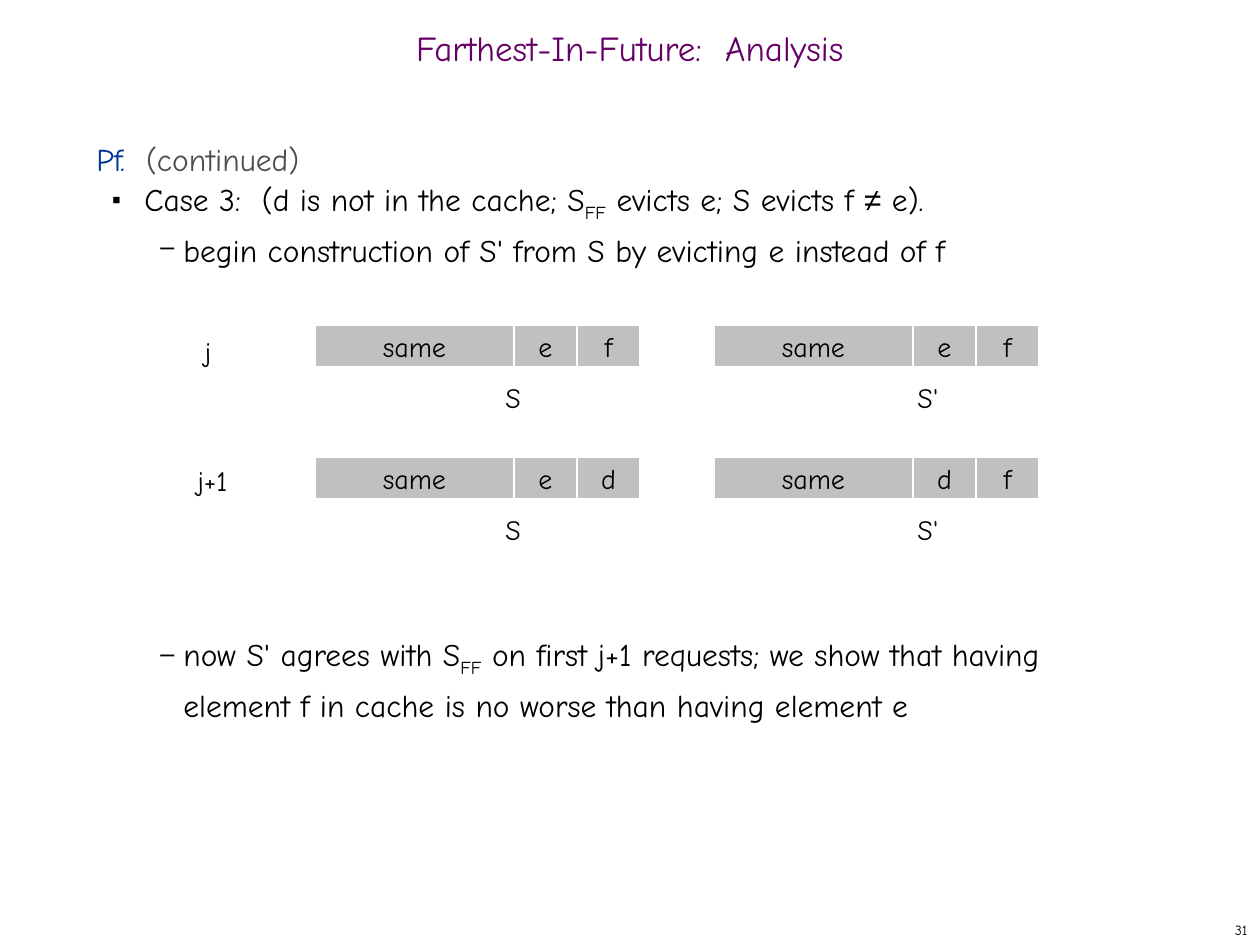
from pptx import Presentation
from pptx.dml.color import RGBColor as RGB
from pptx.enum.shapes import MSO_SHAPE as SHAPE
from pptx.enum.text import MSO_ANCHOR as ANCHOR, MSO_AUTO_SIZE as AUTO, PP_ALIGN as ALIGN
from pptx.oxml.ns import qn
from pptx.util import Emu, Pt
from lxml.etree import SubElement

SCALE = 914400 / 126
COLORS = {"title": "660066", "lead": "003399", "muted": "4D4D4D", "text": "000000",
          "cell": "C0C0C0", "white": "FFFFFF"}


def px(n):
    return Emu(round(n * SCALE))


def color(name):
    return RGB.from_string(COLORS[name])


class Deck:
    """Hold the slide and its style, and add each kind of element."""

    font = "Comic Neue"

    def __init__(self, width, height):
        self.prs = Presentation()
        self.prs.slide_width, self.prs.slide_height = px(width), px(height)
        self.slide = self.prs.slides.add_slide(self.prs.slide_layouts[6])

    def run(self, p, text, size, ink="text", font=None, base=None):
        r = p.add_run()
        r.text = text
        for key, value in {"name": font or self.font, "size": Pt(size)}.items():
            setattr(r.font, key, value)
        r.font.color.rgb = color(ink)
        if base:
            r.font._element.set("baseline", str(base * 1000))

    def text(self, box, text, size=16, ink="text", frame=None, para=None):
        sp = self.slide.shapes.add_textbox(*map(px, box))
        self.fill_text(sp, text, size, ink, frame, para)

    def fill_text(self, sp, text, size, ink, frame=None, para=None):
        tf = sp.text_frame
        p = tf.paragraphs[0]
        for target, values in ((tf, {"word_wrap": False, **(frame or {})}), (p, para or {})):
            for key, value in values.items():
                setattr(target, key, value)
        self.run(p, text, size, ink)

    def label(self, box, text):
        self.text(box, text, frame={"auto_size": AUTO.SHAPE_TO_FIT_TEXT})

    def cell(self, box, text):
        sp = self.slide.shapes.add_shape(SHAPE.RECTANGLE, *map(px, box))
        sp.shadow.inherit = False
        sp.fill.solid()
        sp.fill.fore_color.rgb = color("cell")
        sp.line.color.rgb = color("white")
        sp.line.width = Pt(0.75)
        self.fill_text(sp, text, 16, "text", {"vertical_anchor": ANCHOR.MIDDLE},
                       {"alignment": ALIGN.CENTER})

    def cache(self, x, y, items):
        for text, width in zip(items, (199, 63, 63)):
            self.cell((x, y, width, 42), text)
            x += width

    def bullet(self, p, char, percent, margin, hang):
        pPr = p._p.get_or_add_pPr()
        pPr.set("marL", str(px(margin)))
        pPr.set("indent", str(px(-hang)))
        SubElement(SubElement(pPr, qn("a:buClr")), qn("a:srgbClr"), val=COLORS["text"])
        SubElement(pPr, qn("a:buSzPct"), val=str(percent * 1000))
        SubElement(pPr, qn("a:buChar"), char=char)

    def body(self, box, paragraphs):
        tf = self.slide.shapes.add_textbox(*map(px, box)).text_frame
        tf.word_wrap = True
        for i, (bullet, before, runs) in enumerate(paragraphs):
            p = tf.add_paragraph() if i else tf.paragraphs[0]
            p.line_spacing, p.space_before = Pt(26), Pt(before)
            if bullet:
                self.bullet(p, *bullet)
            for text, style in runs:
                self.run(p, text, 18, **style)


def main():
    deck = Deck(1260, 945)
    deck.text((998, 914, 262, 32), "31", 8, frame={"vertical_anchor": ANCHOR.MIDDLE},
              para={"alignment": ALIGN.RIGHT})
    deck.text((0, 21, 1260, 63), "Farthest-In-Future:  Analysis", 20, "title",
              {"word_wrap": True, "vertical_anchor": ANCHOR.MIDDLE},
              {"alignment": ALIGN.CENTER, "line_spacing": 0.7})

    square, dash, sub = ("■", 35, 48, 32), ("–", 80, 87, 23), ("FF", {"base": -25})
    deck.body((84, 126, 1081, 746), [
        (None, 0, [("Pf.  ", {"ink": "lead"}), ("(continued)", {"ink": "muted"})]),
        (square, 0, [("Case 3:  (d is not in the cache; S", {}), sub,
                     (" evicts e; S evicts f ", {}), ("≠", {"font": "Arial"}), (" e).", {})]),
        (dash, 0, [("begin construction of S' from S by evicting e instead of f", {})]),
        (dash, 8 * 26, [("now S' agrees with S", {}), sub,
                        (" on first j+1 requests; we show that having element f in cache"
                         " is no worse than having element e", {})]),
    ])

    steps = [(325, (183, 328, 50, 47), " j", "ef", "ef"),
             (457, (185, 457, 55, 47), "j+1", "ed", "df")]
    for y, box, step, left, right in steps:
        deck.label(box, step)
        deck.cache(315, y, ("same", *left))
        deck.cache(714, y, ("same", *right))
        deck.label((493, y + 49, 40, 47), "S")
        deck.label((905, y + 49, 47, 47), "S'")
    deck.prs.save("out.pptx")


if __name__ == "__main__":
    main()
